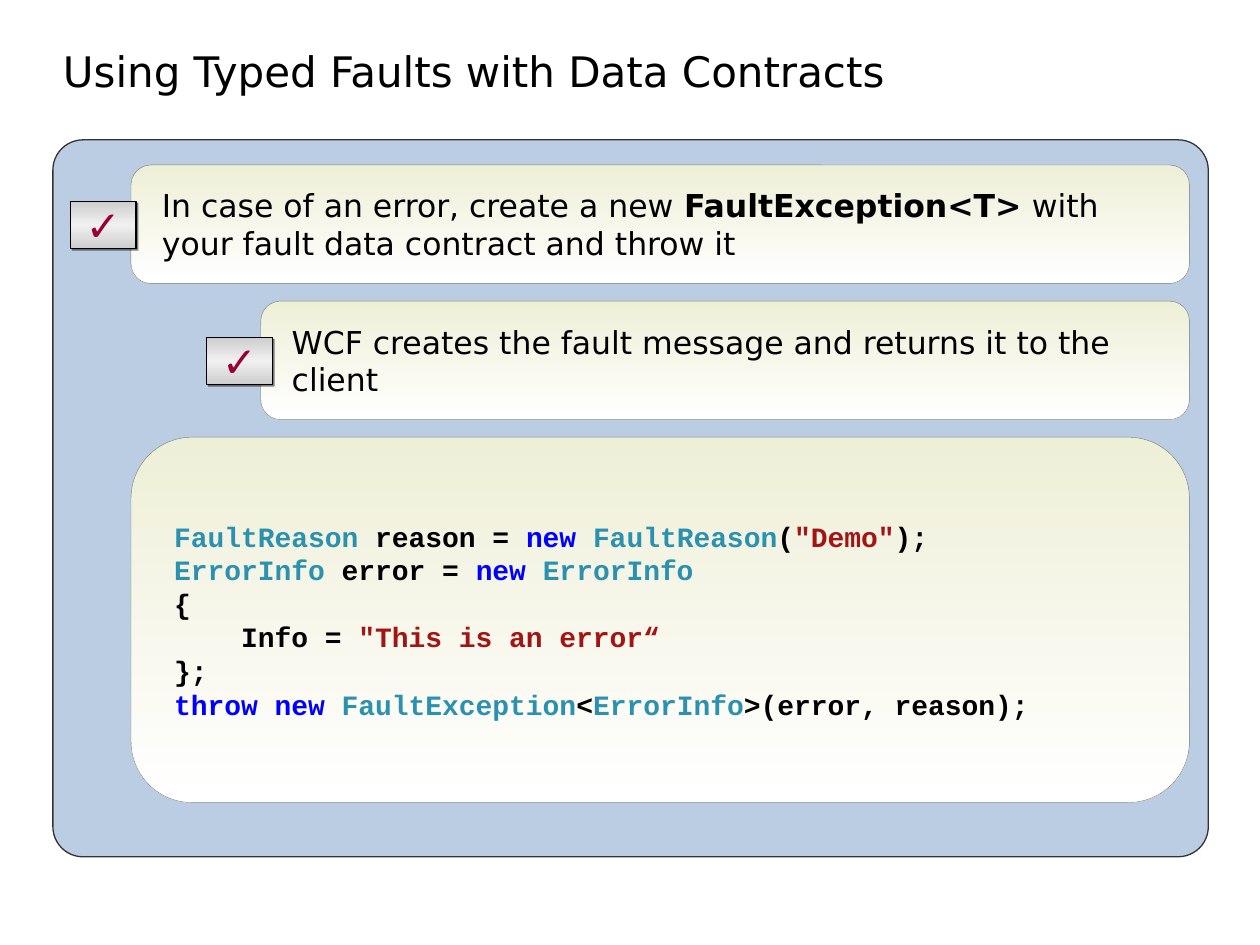
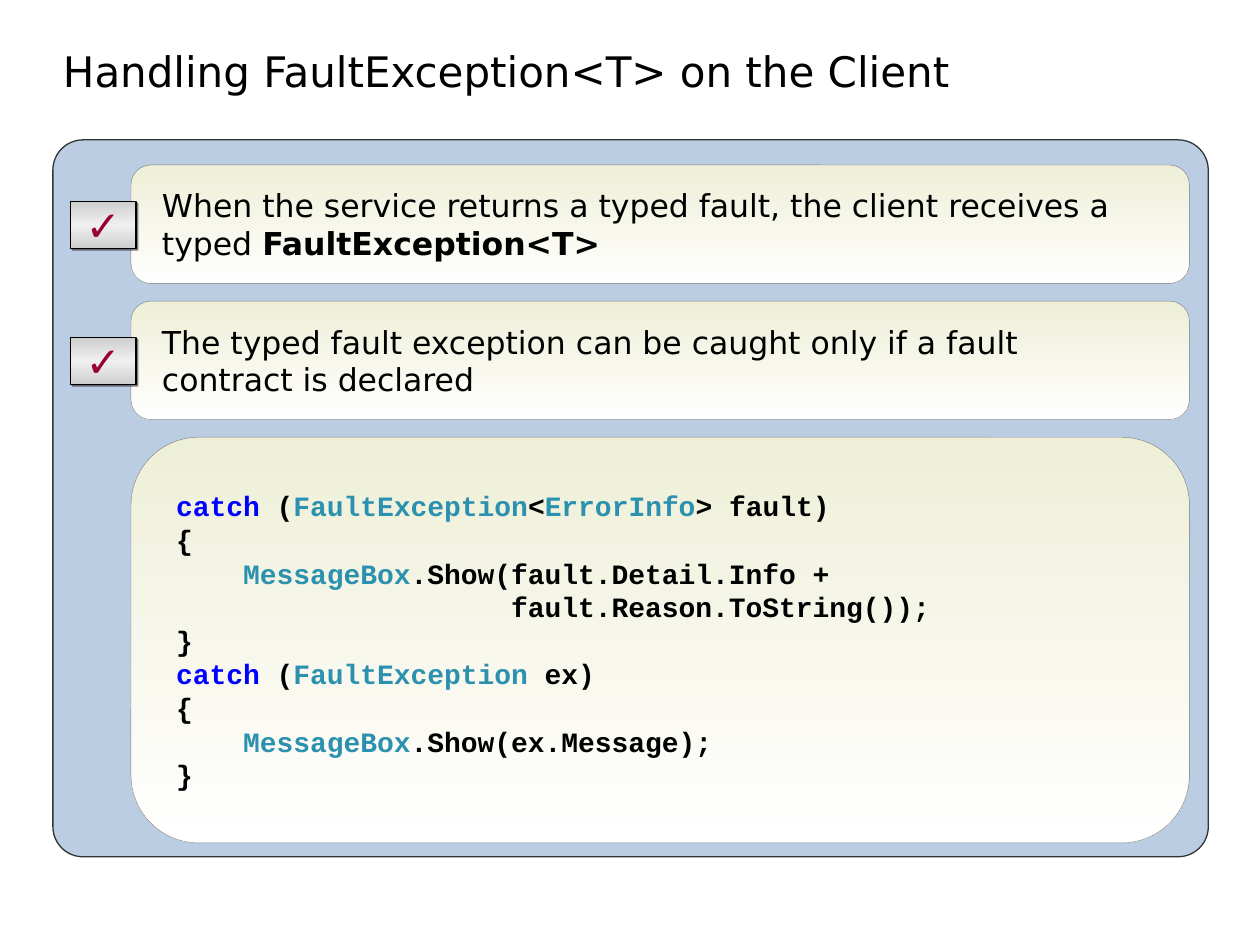
from lxml.etree import SubElement
from pptx import Presentation
from pptx.dml.color import RGBColor
from pptx.enum.shapes import MSO_SHAPE
from pptx.enum.text import MSO_ANCHOR, PP_ALIGN
from pptx.oxml.ns import qn
from pptx.util import Inches, Pt

# Colours
BLACK = RGBColor(0x00, 0x00, 0x00)
WHITE = RGBColor(0xFF, 0xFF, 0xFF)
PANEL = RGBColor(0xBB, 0xCD, 0xE3)
EDGE = RGBColor(0x33, 0x33, 0x33)
CREAM = RGBColor(0xEE, 0xEF, 0xD7)
GREY = RGBColor(0x80, 0x80, 0x80)
STEEL = RGBColor(0xCE, 0xCE, 0xCE)
SHINE = RGBColor(0xF0, 0xF0, 0xF0)
WINE = RGBColor(0x99, 0x00, 0x33)
TYPE = RGBColor(0x2B, 0x91, 0xAF)
KEY = RGBColor(0x00, 0x00, 0xFF)
QUOTE = RGBColor(0xA3, 0x15, 0x15)

# Fonts and grid, in inches
SANS, MONO, MARK = "DejaVu Sans", "Courier New", "Arial"
LEFT, RIGHT = 1.04, 9.44
TOP, STEP, HIGH = 1.31, 1.08, 0.94
TICK_LEFT, TICK_DROP = 0.56, 0.29

# Code, one list of (text, colour) pairs a line
THROW = [
    [("FaultReason ", TYPE), ("reason = ", BLACK), ("new ", KEY),
     ("FaultReason", TYPE), ("(", BLACK), ('"Demo"', QUOTE), (");", BLACK)],
    [("ErrorInfo", TYPE), (" error = ", BLACK), ("new ", KEY),
     ("ErrorInfo", TYPE)],
    [("{", BLACK)],
    [("    Info = ", BLACK), ('"This is an error“', QUOTE)],
    [("};", BLACK)],
    [("throw new ", KEY), ("FaultException", TYPE), ("<", BLACK),
     ("ErrorInfo", TYPE), (">(error, reason);", BLACK)],
]
CATCH = [
    [("catch", KEY), (" (", BLACK), ("FaultException", TYPE), ("<", BLACK),
     ("ErrorInfo", TYPE), ("> fault)", BLACK)],
    [("{", BLACK)],
    [("    ", BLACK), ("MessageBox", TYPE),
     (".Show(fault.Detail.Info +", BLACK)],
    [("                    fault.Reason.ToString());", BLACK)],
    [("}", BLACK)],
    [("catch", KEY), (" (", BLACK), ("FaultException", TYPE),
     (" ex)", BLACK)],
    [("{", BLACK)],
    [("    ", BLACK), ("MessageBox", TYPE), (".Show(ex.Message);", BLACK)],
    [("}", BLACK)],
]


def style(run, size, font, color=BLACK, bold=False):
    run.font.size = Pt(size)
    run.font.name = font
    run.font.color.rgb = color
    run.font.bold = bold


def add_round(slide, left, top, width, height, curve, line, weight):
    shape = slide.shapes.add_shape(
        MSO_SHAPE.ROUNDED_RECTANGLE, Inches(left), Inches(top),
        Inches(width), Inches(height))
    shape.adjustments[0] = curve
    shape.shadow.inherit = False
    shape.line.color.rgb = line
    shape.line.width = Pt(weight)
    return shape


def shade(shape, colors):
    """Fill from top to bottom with evenly spaced colours."""
    shape.fill.gradient()
    shape.fill.gradient_angle = 270
    stops = shape._element.spPr.find(qn("a:gradFill")).find(qn("a:gsLst"))
    for stop in list(stops):
        stops.remove(stop)
    for num, color in enumerate(colors):
        place = 100000 * num // (len(colors) - 1)
        stop = SubElement(stops, qn("a:gs"), pos=str(place))
        SubElement(stop, qn("a:srgbClr"), val=str(color))


def drop_shadow(shape):
    effects = shape._element.spPr.find(qn("a:effectLst"))
    outer = SubElement(effects, qn("a:outerShdw"), blurRad="0",
                       dist=str(Pt(1.4)), dir="2700000", algn="ctr",
                       rotWithShape="0")
    color = SubElement(outer, qn("a:srgbClr"), val=str(BLACK))
    SubElement(color, qn("a:alpha"), val="50000")


def add_title(slide, text):
    box = slide.shapes.add_textbox(
        Inches(0.5), Inches(0), Inches(8.5), Inches(0.81))
    frame = box.text_frame
    frame.word_wrap = True
    frame.vertical_anchor = MSO_ANCHOR.BOTTOM
    frame.margin_left = 0
    frame.text = text
    para = frame.paragraphs[0]
    para.line_spacing = 0.85
    style(para.runs[0], 24, SANS)


def add_card(slide, left, top, height):
    card = add_round(slide, left, top, RIGHT - left, height, 0.167, GREY, 0.25)
    shade(card, [CREAM, WHITE])
    frame = card.text_frame
    frame.word_wrap = True
    frame.vertical_anchor = MSO_ANCHOR.MIDDLE
    frame.margin_left = frame.margin_right = Inches(0.2)
    return frame


def add_tick(slide, left, top):
    tick = add_round(slide, left, top, 0.52, 0.37, 0, BLACK, 0.75)
    shade(tick, [STEEL, SHINE, STEEL])
    drop_shadow(tick)
    frame = tick.text_frame
    frame.word_wrap = False
    frame.vertical_anchor = MSO_ANCHOR.MIDDLE
    frame.text = "✓"
    para = frame.paragraphs[0]
    para.alignment = PP_ALIGN.CENTER
    style(para.runs[0], 24, MARK, WINE, True)


def add_point(slide, row, parts, left=LEFT, tick_left=TICK_LEFT):
    """Add a ticked card; every second part of its text is bold."""
    top = TOP + row * STEP
    para = add_card(slide, left, top, HIGH).paragraphs[0]
    para.alignment = PP_ALIGN.LEFT
    for num, part in enumerate(parts):
        run = para.add_run()
        run.text = part
        style(run, 18, SANS, bold=num % 2 == 1)
    add_tick(slide, tick_left, top + TICK_DROP)


def add_code(slide, lines, height):
    frame = add_card(slide, LEFT, TOP + 2 * STEP, height)
    for num, line in enumerate(lines):
        para = frame.add_paragraph() if num else frame.paragraphs[0]
        para.alignment = PP_ALIGN.LEFT
        for text, color in line:
            run = para.add_run()
            run.text = text
            style(run, 16, MONO, color, True)


def add_page(deck, title):
    slide = deck.slides.add_slide(deck.slide_layouts[6])
    panel = add_round(slide, 0.42, 1.11, 9.17, 5.69, 0.042, EDGE, 0.75)
    panel.fill.solid()
    panel.fill.fore_color.rgb = PANEL
    add_title(slide, title)
    return slide


def main():
    deck = Presentation()
    deck.slide_width, deck.slide_height = Inches(10), Inches(7.5)

    # Throwing a typed fault
    slide = add_page(deck, "Using Typed Faults with Data Contracts")
    add_point(slide, 0, ["In case of an error, create a new ",
                         "FaultException<T>",
                         " with your fault data contract and throw it"])
    add_point(slide, 1, ["WCF creates the fault message and returns it "
                         "to the client"], left=2.07, tick_left=1.64)
    add_code(slide, THROW, 2.9)

    # Catching it on the client
    slide = add_page(deck, "Handling FaultException<T> on the Client")
    add_point(slide, 0, ["When the service returns a typed fault, "
                         "the client receives a typed ",
                         "FaultException<T>"])
    add_point(slide, 1, ["The typed fault exception can be caught only "
                         "if a fault contract is declared"])
    add_code(slide, CATCH, 3.22)

    deck.save("out.pptx")


if __name__ == "__main__":
    main()
